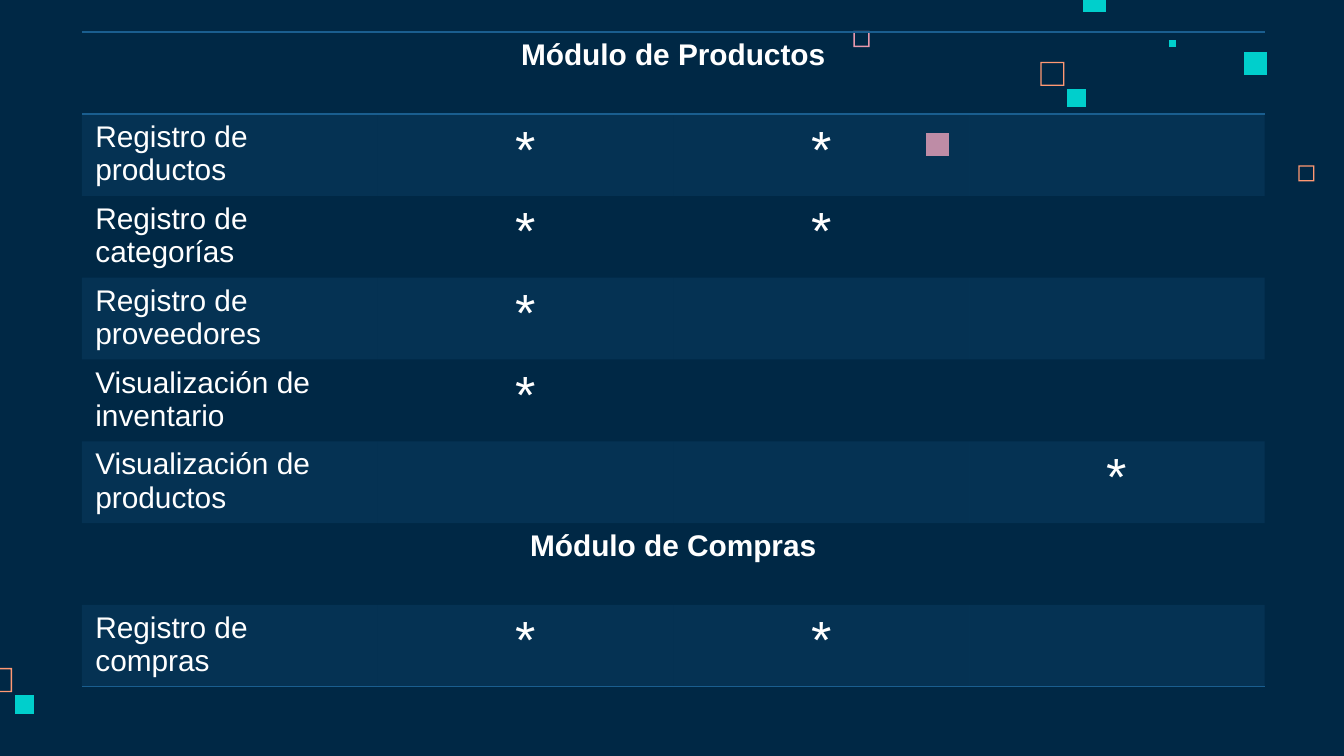
import dataclasses

import pptx
import pptx.dml.color
import pptx.enum.text
import pptx.oxml
import pptx.oxml.ns
import pptx.util

Inches = pptx.util.Inches
Pt = pptx.util.Pt
qn = pptx.oxml.ns.qn


@dataclasses.dataclass(frozen=True)
class Theme:
    background: str = "002845"
    text: str = "FFFFFF"
    band: str = "1A5E8F"
    band_alpha: int = 20000
    teal: str = "00CFCC"
    orange: str = "FF9973"
    pink: str = "E898AC"
    font: str = "Arial"
    label_size: int = 16
    mark_size: int = 28
    rule_width: int = 1
    no_grid_style: str = "{2D5ABB26-0587-4C30-8999-92F81FD0307C}"


THEME = Theme()

OUTLINED_SQUARES = [
    (9.66, 1.23, 0.12, THEME.orange),
    (6.35, 0.23, 0.12, THEME.pink),
    (7.74, 0.46, 0.18, THEME.orange),
    (-0.09, 4.97, 0.18, THEME.orange),
]
SOLID_SQUARES = [
    (8.7, 0.3, 0.05, THEME.teal),
    (8.06, -0.08, 0.17, THEME.teal),
    (9.26, 0.39, 0.17, THEME.teal),
    (7.94, 0.66, 0.14, THEME.teal),
    (6.89, 0.99, 0.17, THEME.pink),
    (0.11, 5.17, 0.14, THEME.teal),
]
PERMISSIONS = [
    ("Módulo de Productos", None),
    ("Registro de productos", (1, 2)),
    ("Registro de categorías", (1, 2)),
    ("Registro de proveedores", (1,)),
    ("Visualización de inventario", (1,)),
    ("Visualización de productos", (3,)),
    ("Módulo de Compras", None),
    ("Registro de compras", (1, 2)),
]


def rgb(color):
    return pptx.dml.color.RGBColor.from_string(color)


def add_square(slide, left, top, side, color, outline=0):
    right, bottom = left + side, top + side
    corners = [(left, bottom), (right, bottom), (right, top)]
    builder = slide.shapes.build_freeform(Inches(left), Inches(top))
    builder.add_line_segments([(Inches(x), Inches(y)) for x, y in corners])
    if outline:
        near_x, near_y = left + outline, top + outline
        far_x, far_y = right - outline, bottom - outline
        hole = [(far_x, near_y), (far_x, far_y), (near_x, far_y)]
        builder.move_to(Inches(near_x), Inches(near_y))
        builder.add_line_segments([(Inches(x), Inches(y)) for x, y in hole])
    square = builder.convert_to_shape()
    square.shadow.inherit = False
    square.fill.solid()
    square.fill.fore_color.rgb = rgb(color)
    square.line.fill.background()


def add_decoration(slide, left, top):
    for x, y, side, color in OUTLINED_SQUARES:
        add_square(slide, left + x, top + y, side, color, outline=0.01)
    for x, y, side, color in SOLID_SQUARES:
        add_square(slide, left + x, top + y, side, color)


def write_cell(cell, text, size, bold=False, centred=False):
    paragraph = cell.text_frame.paragraphs[0]
    if centred:
        paragraph.alignment = pptx.enum.text.PP_ALIGN.CENTER
    run = paragraph.add_run()
    run.text = text
    run.font.name = THEME.font
    run.font.size = Pt(size)
    run.font.bold = bold
    run.font.color.rgb = rgb(THEME.text)


def style_cell(cell, borders, banded):
    properties = cell._tc.get_or_add_tcPr()
    for border in borders:
        properties.append(pptx.oxml.parse_xml(
            f'<a:{border} xmlns:a="http://schemas.openxmlformats.org/drawingml/2006/main" '
            f'w="{Pt(THEME.rule_width)}"><a:solidFill><a:srgbClr val="{THEME.band}"/>'
            f'</a:solidFill></a:{border}>'))
    if not banded:
        cell.fill.background()
        return
    cell.fill.solid()
    cell.fill.fore_color.rgb = rgb(THEME.band)
    color = properties.find(qn("a:solidFill")).find(qn("a:srgbClr"))
    color.append(color.makeelement(qn("a:alpha"), {"val": str(THEME.band_alpha)}))


def add_permissions_table(slide, left, top, width, height):
    last = len(PERMISSIONS) - 1
    table = slide.shapes.add_table(
        len(PERMISSIONS), 4, Inches(left), Inches(top), Inches(width), Inches(height)).table
    table.first_row = False
    table.horz_banding = False
    table._tbl.tblPr.find(qn("a:tableStyleId")).text = THEME.no_grid_style
    borders = {0: ("lnT", "lnB"), last: ("lnB",)}
    for row, (label, marks) in enumerate(PERMISSIONS):
        for column in range(4):
            style_cell(table.cell(row, column), borders.get(row, ()), row % 2 == 1)
        name = table.cell(row, 0)
        if marks is None:
            name.merge(table.cell(row, 3))
            write_cell(name, label, THEME.label_size, bold=True, centred=True)
            continue
        write_cell(name, label, THEME.label_size)
        for column in marks:
            write_cell(table.cell(row, column), "*", THEME.mark_size, centred=True)


def main():
    presentation = pptx.Presentation()
    presentation.slide_width = Inches(10)
    presentation.slide_height = presentation.slide_width * 9 // 16
    slide = presentation.slides.add_slide(presentation.slide_layouts[6])
    slide.background.fill.solid()
    slide.background.fill.fore_color.rgb = rgb(THEME.background)
    add_decoration(slide, 0, 0)
    add_permissions_table(slide, 0.61, 0.24, 8.8, 4.87)
    presentation.save("out.pptx")


if __name__ == "__main__":
    main()
